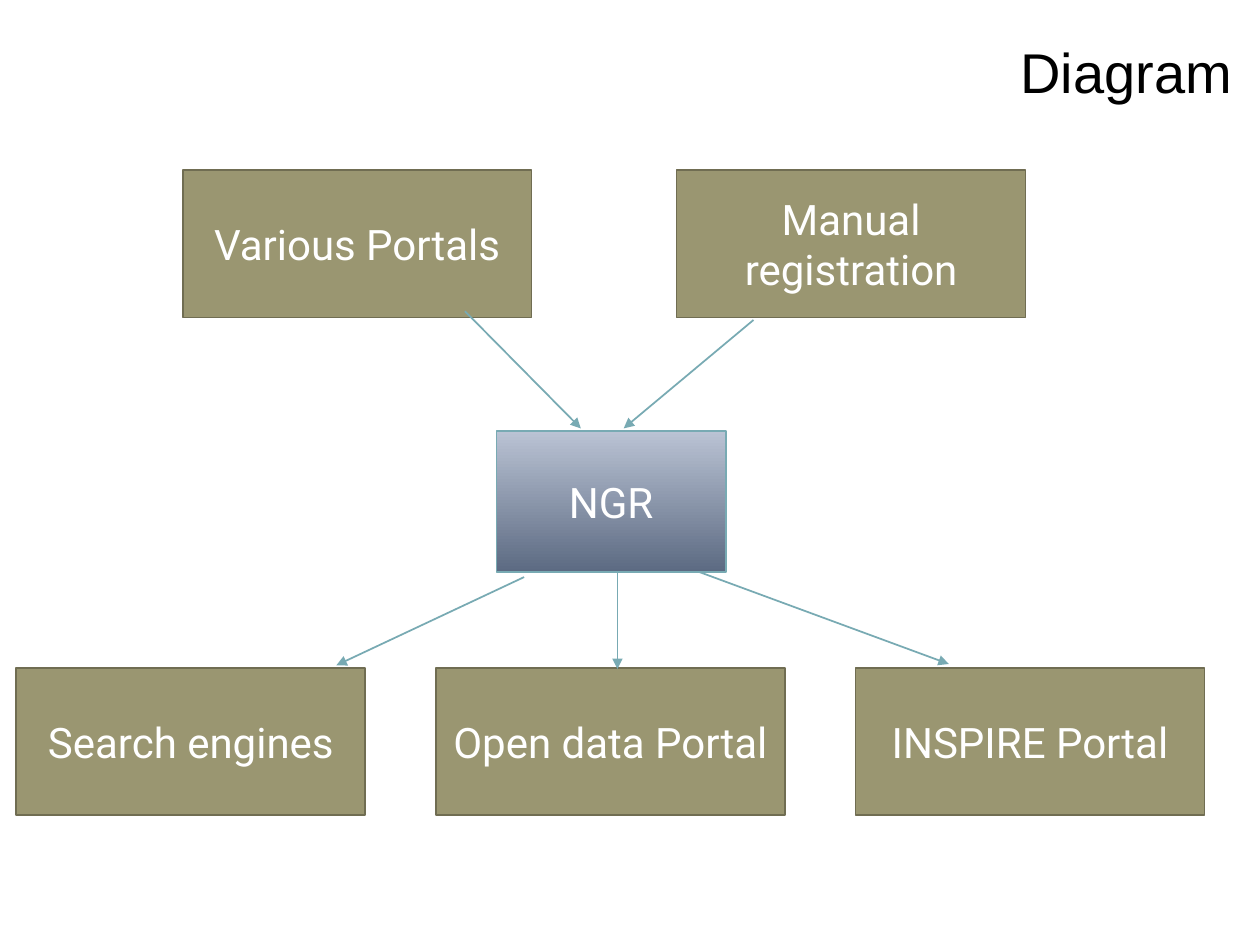
import pptx
import pptx.dml.color
import pptx.enum.shapes
import pptx.enum.text
import pptx.oxml
import pptx.oxml.ns
import pptx.util

COLS, ROWS = 100, 75
CELL = pptx.util.Inches(0.1)
BOX_W, BOX_H = 27.7, 11.7
SOURCES_ROW, TARGETS_ROW = 13.5, 53
SOURCES = ["Various Portals", "Manual registration"]
TARGETS = ["Search engines", "Open data Portal", "INSPIRE Portal"]
ARROWS = [
    (36.9, 24.7, 46.1, 34),
    (59.8, 25.4, 49.5, 34),
    (41.6, 45.8, 26.7, 52.8),
    (49, 45.4, 49, 53.1),
    (55.5, 45.4, 75.3, 52.7),
]


def grid(*cells):
    return [round(n * CELL) for n in cells]


def set_color(color, value):
    color.rgb = pptx.dml.color.RGBColor.from_string(value)


def set_line(line, value):
    set_color(line.color, value)
    line.width = pptx.util.Pt(1)


def add_text(sp, text, font, size, color, align, inset):
    tf = sp.text_frame
    tf.word_wrap = True
    tf.vertical_anchor = pptx.enum.text.MSO_ANCHOR.MIDDLE
    tf.margin_left = tf.margin_right = pptx.util.Inches(inset)
    tf.margin_top = tf.margin_bottom = pptx.util.Inches(inset)
    p = tf.paragraphs[0]
    p.alignment = align
    r = p.add_run()
    r.text = text
    r.font.name = font
    r.font.size = pptx.util.Pt(size)
    set_color(r.font.color, color)


def add_title(s, text):
    sp = s.shapes.add_textbox(*grid(8.3, -2.6, 90, 16.5))
    add_text(sp, text, "Arial", 32, "000000", pptx.enum.text.PP_ALIGN.RIGHT, 0.05)


def add_box(s, text, x, y, w=BOX_W, h=BOX_H, line="706D52"):
    sp = s.shapes.add_shape(
        pptx.enum.shapes.MSO_SHAPE.RECTANGLE, *grid(x, y, w, h))
    sp.shadow.inherit = False
    sp.fill.solid()
    set_color(sp.fill.fore_color, "9A9671")
    set_line(sp.line, line)
    add_text(sp, text, "Roboto", 24, "FFFFFF", pptx.enum.text.PP_ALIGN.CENTER, 0.04)
    return sp


def add_row(s, labels, left, pitch, y):
    for i, label in enumerate(labels):
        add_box(s, label, left + i * pitch, y)


def add_hub(s, text):
    sp = add_box(s, text, 39.4, 34.2, 18.2, 11.2, "78AAB3")
    sp.fill.gradient()
    sp.fill.gradient_angle = 90
    for stop, color in zip(sp.fill.gradient_stops, ("5C6A82", "BAC3D4")):
        set_color(stop.color, color)


def add_arrow(s, x1, y1, x2, y2):
    sp = s.shapes.add_connector(
        pptx.enum.shapes.MSO_CONNECTOR.STRAIGHT, *grid(x1, y1, x2, y2))
    set_line(sp.line, "78AAB3")
    tail = pptx.oxml.parse_xml(
        f'<a:tailEnd {pptx.oxml.ns.nsdecls("a")} type="triangle"/>')
    sp.line._get_or_add_ln().append(tail)
    sp._element.spPr.append(
        pptx.oxml.parse_xml(f'<a:effectLst {pptx.oxml.ns.nsdecls("a")}/>'))


def main():
    prs = pptx.Presentation()
    prs.slide_width, prs.slide_height = grid(COLS, ROWS)
    s = prs.slides.add_slide(prs.slide_layouts[6])
    add_title(s, "Diagram")
    add_row(s, SOURCES, 14.5, 39.2, SOURCES_ROW)
    add_hub(s, "NGR")
    add_row(s, TARGETS, 1.3, 33.3, TARGETS_ROW)
    for ends in ARROWS:
        add_arrow(s, *ends)
    prs.save("out.pptx")


if __name__ == "__main__":
    main()
